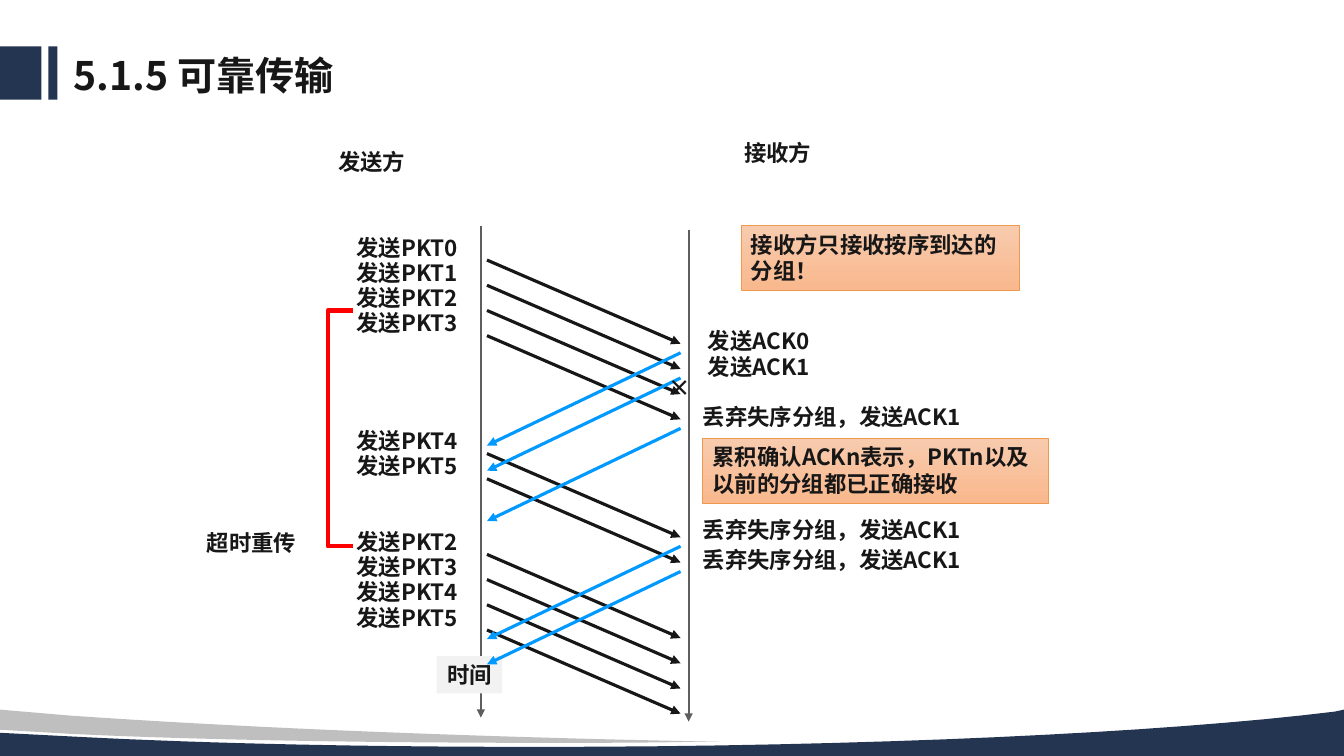
import pptx
import pptx.dml.color
import pptx.enum.shapes
import pptx.enum.text
import pptx.oxml
import pptx.oxml.ns
import pptx.util

Inches = pptx.util.Inches
Pt = pptx.util.Pt
ALIGN = pptx.enum.text.PP_ALIGN
ANCHOR = pptx.enum.text.MSO_ANCHOR
RECTANGLE = pptx.enum.shapes.MSO_SHAPE.RECTANGLE
STRAIGHT = pptx.enum.shapes.MSO_CONNECTOR.STRAIGHT
BODY_FONT = "Noto Sans CJK JP"
TITLE_FONT = "Noto Sans CJK SC"
INK, NAVY, GREY, BLUE, RED = "171717", "243551", "BFBFBF", "0099FF", "FF0000"
STEP = 0.25


def color(value):
    """Turn a hex string into a colour."""
    return pptx.dml.color.RGBColor.from_string(value)


def element(tag, **attributes):
    """Make a drawing element with the given attributes."""
    node = pptx.oxml.parse_xml(f"<a:{tag} {pptx.oxml.ns.nsdecls('a')}/>")
    for name, value in attributes.items():
        node.set(name, value)
    return node


def write(shape, words, align=ALIGN.LEFT, size=16, font=BODY_FONT,
          inset=None, wrap=True, anchor=ANCHOR.TOP):
    """Write one bold paragraph into a shape."""
    frame = shape.text_frame
    frame.word_wrap = wrap
    frame.vertical_anchor = anchor
    if inset is not None:
        frame.margin_left = frame.margin_right = Inches(inset)
        frame.margin_top = frame.margin_bottom = Inches(inset)
    paragraph = frame.paragraphs[0]
    paragraph.alignment = align
    run = paragraph.add_run()
    run.text = words
    run.font.size = Pt(size)
    run.font.bold = True
    run.font.name = font
    run.font.color.rgb = color(INK)
    run.font._element.append(element("ea", typeface=font))
    return paragraph


def add_label(slide, box, words, align=ALIGN.CENTER, **style):
    """Place a text label in a box."""
    label = slide.shapes.add_textbox(*map(Inches, box))
    return write(label, words, align, **style)


def add_block(slide, box, fill):
    """Place a plain filled rectangle."""
    block = slide.shapes.add_shape(RECTANGLE, *map(Inches, box))
    block.shadow.inherit = False
    block.fill.solid()
    block.fill.fore_color.rgb = color(fill)
    block.line.fill.background()
    return block


def add_note(slide, box, words):
    """Place an orange gradient note."""
    note = add_block(slide, box, "F8CBAE")
    note.fill.gradient()
    note.fill.gradient_angle = 270
    for stop, tone in zip(note.fill.gradient_stops, ("F8CBAE", "F9B88D")):
        stop.color.rgb = color(tone)
    note.line.color.rgb = color("EF994E")
    note.line.width = Pt(0.5)
    write(note, words)


def add_arrow(slide, start, end, tone, width=2.25):
    """Draw an arrow from start to end."""
    arrow = slide.shapes.add_connector(STRAIGHT, *map(Inches, (*start, *end)))
    arrow.line.color.rgb = color(tone)
    arrow.line.width = Pt(width)
    arrow.line._get_or_add_ln().append(element("tailEnd", type="triangle"))
    arrow._element.spPr.append(element("effectLst"))


def add_outline(slide, points, closed):
    """Build a freeform through points given in inches."""
    corners = [(Inches(x), Inches(y)) for x, y in points]
    builder = slide.shapes.build_freeform(*corners[0], scale=1.0)
    builder.add_line_segments(corners[1:], close=closed)
    outline = builder.convert_to_shape()
    outline.shadow.inherit = False
    return outline


def curve(start, first, second, end, count=16):
    """List points along a cubic curve, without its start."""
    points = []
    for index in range(1, count + 1):
        t = index / count
        weights = ((1 - t) ** 3, 3 * t * (1 - t) ** 2, 3 * t * t * (1 - t), t ** 3)
        points.append(tuple(sum(w * p[axis] for w, p in zip(weights, (start, first, second, end)))
                            for axis in (0, 1)))
    return points


def add_heading(slide, box):
    """Place the title and the two navy bars on its left."""
    left, top, width, height = box
    add_block(slide, (left, top, 0.41, height), NAVY)
    add_block(slide, (left + 0.48, top, 0.09, height), NAVY)
    title = add_label(slide, (left + 0.63, top + 0.05, width - 0.63, 0.52), "5.1.5 可靠传输",
                      ALIGN.LEFT, size=28, font=TITLE_FONT, anchor=ANCHOR.MIDDLE)
    title.line_spacing = 0.9


def add_footer(slide, box):
    """Draw the navy and grey waves in the bottom band."""
    left, top, width, height = box
    navy_wave = [(width, 0), (width, height), (0, height), (0, 0.23), (0.77, 0.27),
                 *curve((0.77, 0.27), (2.12, 0.34), (3.67, 0.37), (5.32, 0.37)),
                 *curve((5.32, 0.37), (8.62, 0.37), (11.53, 0.23), (13.24, 0.02))]
    grey_wave = [(0, 0), (0.7, 0.06),
                 *curve((0.7, 0.06), (2.29, 0.17), (4.17, 0.25), (6.22, 0.3)),
                 (7.15, 0.32), (6.84, 0.32),
                 *curve((6.84, 0.32), (6.4, 0.33), (5.94, 0.33), (5.48, 0.33)),
                 *curve((5.48, 0.33), (3.61, 0.33), (1.92, 0.3), (0.69, 0.24)), (0, 0.2)]
    for wave, tone in ((navy_wave, NAVY), (grey_wave, GREY)):
        outline = add_outline(slide, [(left + x, top + y) for x, y in wave], True)
        outline.fill.solid()
        outline.fill.fore_color.rgb = color(tone)
        outline.line.fill.background()


def add_timelines(slide, box):
    """Draw both time axes with their headings and the time label."""
    left, top, width, height = box
    axes = (("发送方", left, 3.25, 1.42, 0.91), ("接收方", left + width, 7.28, 1.33, 0.95))
    for party, x, heading_left, heading_top, drop in axes:
        add_label(slide, (heading_left, heading_top, 0.87, 0.37), party, wrap=False)
        add_arrow(slide, (x, top + drop), (x, top + drop + height), "5E5E5E", 1.5)
    time = add_block(slide, (left - 0.44, top + 5.18, 0.65, 0.37), "F2F2F2")
    write(time, "时间", ALIGN.CENTER, wrap=False)


def add_exchange(slide, box):
    """Draw the packets, the acknowledgements and their labels."""
    left, top, width, height = box
    right = left + width
    bursts = ((0, (0, 1, 2, 3)), (1.92, (4, 5)), (2.92, (2, 3, 4, 5)))
    for offset, packets in bursts:
        for index, packet in enumerate(packets):
            y = top + offset + index * STEP
            add_arrow(slide, (left, y), (right, y + 0.83), INK)
            add_label(slide, (left - 1.75, y - 0.26, 1.92, 0.27), f"发送PKT{packet}", inset=0)
    for offset in (0.92, 1.17, 1.67, 2.84, 3.09):
        y = top + offset
        add_arrow(slide, (right, y), (left, y + 0.92), BLUE)
    for index in range(2):
        add_label(slide, (right + 0.22, top + 0.67 + index * STEP, 1.11, 0.27),
                  f"发送ACK{index}", inset=0)
    for offset in (1.42, 2.54, 2.84):
        add_label(slide, (right + 0.22, top + offset, 3.28, 0.27),
                  "丢弃失序分组，发送ACK1", ALIGN.LEFT, inset=0)
    add_label(slide, (right - 0.22, top + 1.13, 0.42, 0.27), "×", inset=0)


def add_timeout(slide, box):
    """Draw the red retransmission bracket and its label."""
    left, top, width, height = box
    right, bottom = left + width, top + height
    bracket = add_outline(slide, [(right, top), (left, top), (left, bottom), (right, bottom)], False)
    bracket.fill.background()
    bracket.line.color.rgb = color(RED)
    bracket.line.width = Pt(3)
    add_label(slide, (left - 1.67, bottom - 0.17, 1.83, 0.27), "超时重传", inset=0)


def main():
    """Build the slide and save it."""
    deck = pptx.Presentation()
    deck.slide_width, deck.slide_height = Inches(13.33), Inches(7.5)
    slide = deck.slides.add_slide(deck.slide_layouts[6])
    add_footer(slide, (0, 7.04, 13.33, 0.46))
    add_heading(slide, (0, 0.46, 10.61, 0.53))
    add_timelines(slide, (4.77, 1.33, 2.06, 4.88))
    add_exchange(slide, (4.83, 2.58, 1.92, 4.5))
    add_timeout(slide, (3.25, 3.08, 0.25, 2.34))
    add_note(slide, (7.35, 2.24, 2.76, 0.64), "接收方只接收按序到达的分组！")
    add_note(slide, (6.97, 4.35, 3.43, 0.64), "累积确认ACKn表示，PKTn以及以前的分组都已正确接收")
    deck.save("out.pptx")


if __name__ == "__main__":
    main()
